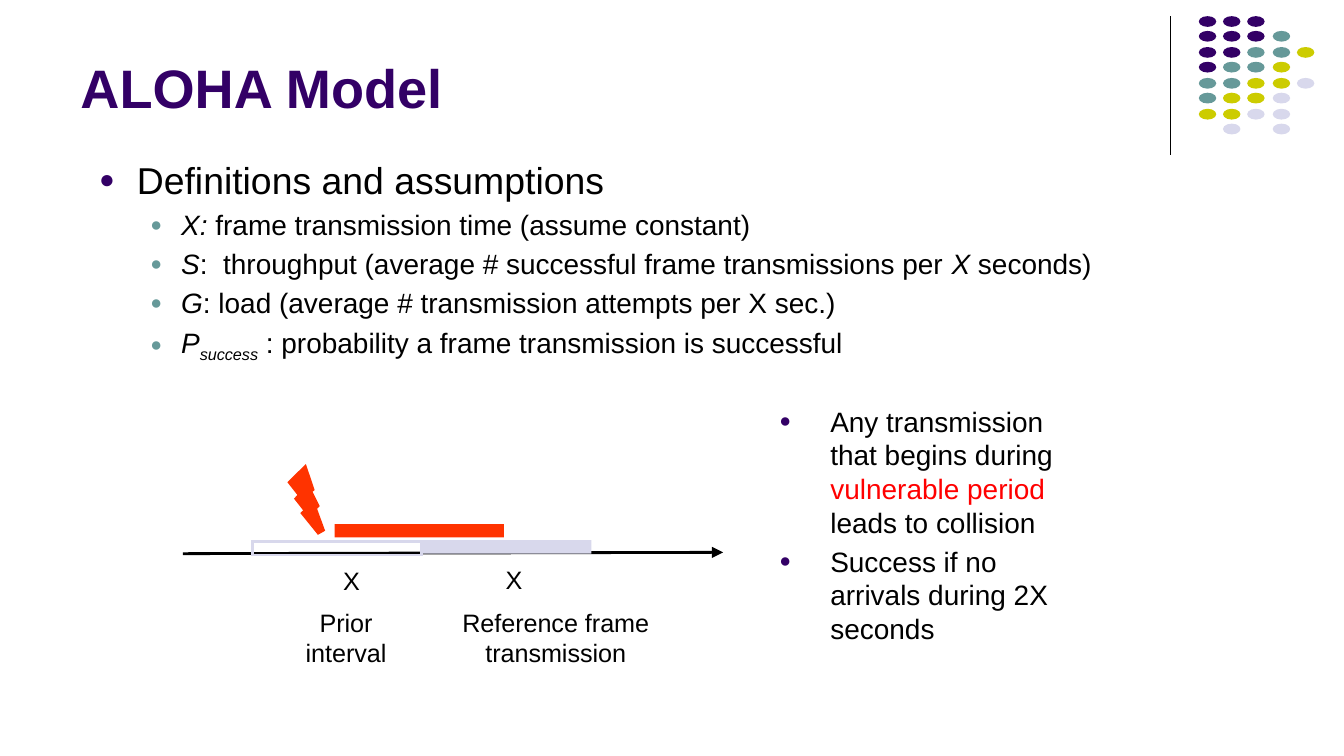
from dataclasses import dataclass

from lxml import etree
from pptx import Presentation
from pptx.dml.color import RGBColor
from pptx.enum.shapes import MSO_CONNECTOR as Link, MSO_SHAPE as Shape
from pptx.enum.text import MSO_ANCHOR as Anchor, MSO_AUTO_SIZE as Fit, PP_ALIGN as Align
from pptx.oxml.ns import qn
from pptx.slide import Slide
from pptx.util import Pt

PX = 9144
PURPLE, TEAL, OLIVE, LILAC = "330066", "669999", "CCCC00", "D8D8EC"
BLACK, ORANGE, RED = "000000", "FF3300", "FF0000"


def px(length):
    return round(length * PX)


def color(code):
    return RGBColor.from_string(code)


def add_xml(parent, tag, **attributes):
    return etree.SubElement(parent, qn(tag), attributes)


@dataclass
class Painter:
    slide: Slide
    font: str = "Arial"

    def line(self, start, end, width, arrow=False):
        stroke = self.slide.shapes.add_connector(
            Link.STRAIGHT, *(px(v) for v in (*start, *end)))
        stroke.line.color.rgb = color(BLACK)
        stroke.line.width = Pt(width)
        if arrow:
            add_xml(stroke.line._get_or_add_ln(), "a:tailEnd", type="triangle")
        add_xml(stroke._element.spPr, "a:effectLst")

    def shape(self, kind, box, fill=None, outline=None, width=0):
        figure = self.slide.shapes.add_shape(kind, *(px(v) for v in box))
        figure.shadow.inherit = False
        if fill:
            figure.fill.solid()
            figure.fill.fore_color.rgb = color(fill)
        else:
            figure.fill.background()
        if outline:
            figure.line.color.rgb = color(outline)
            figure.line.width = Pt(width)
            add_xml(figure.line._get_or_add_ln(), "a:miter", lim="800000")
        else:
            figure.line.fill.background()

    def frame(self, box, anchor=Anchor.TOP, wrap=True, fit=Fit.NONE):
        frame = self.slide.shapes.add_textbox(*(px(v) for v in box)).text_frame
        frame.word_wrap = wrap
        frame.auto_size = fit
        frame.vertical_anchor = anchor
        return frame

    def run(self, paragraph, text, size, ink=BLACK, bold=False, italic=False, base=0):
        run = paragraph.add_run()
        run.text = text
        run.font.name = self.font
        run.font.size = Pt(size)
        run.font.color.rgb = color(ink)
        run.font.bold = bold
        run.font.italic = italic
        if base:
            run._r.get_or_add_rPr().set("baseline", str(base * 1000))

    def title(self, box, text):
        frame = self.frame(box, Anchor.BOTTOM)
        self.run(frame.paragraphs[0], text, 29, PURPLE, bold=True)

    def caption(self, box, text, wrap=True):
        frame = self.frame(box, wrap=wrap, fit=Fit.SHAPE_TO_FIT_TEXT)
        frame.paragraphs[0].alignment = Align.CENTER
        self.run(frame.paragraphs[0], text, 13.5)

    def bullets(self, box, items):
        frame = self.frame(box)
        for index, (level, margin, hang, dot, size, runs) in enumerate(items):
            paragraph = frame.add_paragraph() if index else frame.paragraphs[0]
            paragraph.level = level
            props = paragraph._p.get_or_add_pPr()
            props.set("marL", str(px(margin)))
            props.set("indent", str(px(-hang)))
            add_xml(add_xml(props, "a:buClr"), "a:srgbClr", val=dot)
            add_xml(props, "a:buSzPct", val="70000")
            add_xml(props, "a:buFont", typeface=self.font)
            add_xml(props, "a:buChar", char="●")
            if index:
                paragraph.space_before = Pt(size / 5)
            for text, style in runs:
                self.run(paragraph, text, size, **style)


PLAIN, ITALIC = {}, {"italic": True}
DEFINITIONS = [
    [("X:", ITALIC), (" frame transmission time (assume constant)", PLAIN)],
    [("S", ITALIC),
     (":  throughput (average # successful frame transmissions per ", PLAIN),
     ("X ", ITALIC), ("seconds)", PLAIN)],
    [("G", ITALIC), (": load (average # transmission attempts per X sec.)", PLAIN)],
    [("P", ITALIC), ("success", {"italic": True, "base": -25}),
     (" : probability a frame transmission is successful", PLAIN)],
]
CONCLUSIONS = [
    [("Any transmission that begins during ", PLAIN),
     ("vulnerable period ", {"ink": RED}), ("leads to collision", PLAIN)],
    [("Success if no arrivals during 2X seconds", PLAIN)],
]
DOT_ROWS = ["PPP", "PPPT", "PPTTO", "PTTO", "TTOOL", "TOOL", "OOLL", " L L"]
DOT_COLORS = {"P": PURPLE, "T": TEAL, "O": OLIVE, "L": LILAC}


def draw_ornament(painter):
    painter.line((871, 12), (871, 115), 0.75)
    for row, dots in enumerate(DOT_ROWS):
        for column, dot in enumerate(dots):
            if dot in DOT_COLORS:
                left, top = round(892 + column * 18.25), round(12 + row * 80 / 7)
                painter.shape(Shape.OVAL, (left, top, 13, 8), DOT_COLORS[dot])


def draw_timeline(painter):
    painter.line((136, 412), (538, 411), 1.5, arrow=True)
    painter.shape(Shape.RECTANGLE, (314, 402, 126, 10), LILAC)
    painter.shape(Shape.RECTANGLE, (188, 403, 126, 10), outline=LILAC, width=1.5)
    painter.caption((366, 415, 33, 33), "X", wrap=False)
    painter.caption((245, 416, 33, 33), "X", wrap=False)
    painter.shape(Shape.LIGHTNING_BOLT, (218, 351, 21, 45), ORANGE, ORANGE, 4.5)
    painter.caption((329, 447, 169, 55), "Reference frame transmission")
    painter.caption((197, 447, 121, 56), "Prior interval")
    painter.shape(Shape.RECTANGLE, (249, 390, 126, 10), ORANGE)


def main():
    deck = Presentation()
    deck.slide_width = px(1000)
    deck.slide_height = deck.slide_width * 9 // 16
    painter = Painter(deck.slides.add_slide(deck.slide_layouts[6]))
    draw_ornament(painter)
    painter.title((50, 10, 825, 84), "ALOHA Model")
    heading = (0, 28, 28, PURPLE, 20, [("Definitions and assumptions", PLAIN)])
    painter.bullets((64, 112, 824, 198), [heading] + [
        (1, 61, 23, TEAL, 15, runs) for runs in DEFINITIONS])
    draw_timeline(painter)
    painter.bullets((570, 296, 247, 207), [
        (0, 38, 38, PURPLE, 15, runs) for runs in CONCLUSIONS])
    deck.save("out.pptx")


if __name__ == "__main__":
    main()
